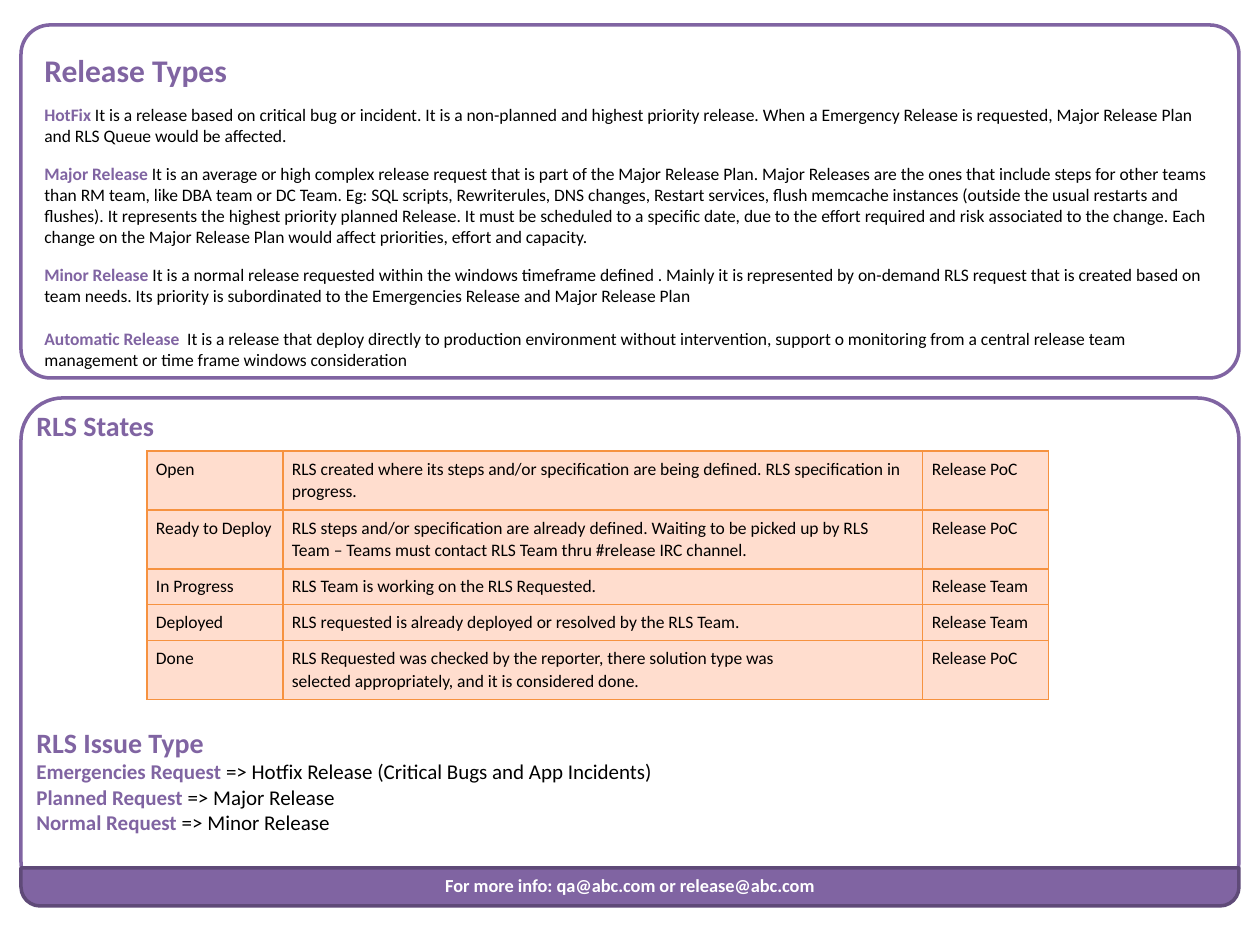
from lxml.etree import SubElement
from pptx import Presentation
from pptx.dml.color import RGBColor
from pptx.enum.shapes import MSO_SHAPE
from pptx.enum.text import MSO_ANCHOR, PP_ALIGN
from pptx.oxml.ns import qn
from pptx.util import Emu, Pt

PX = 914400 // 126
PURPLE, DARK, WHITE, BLACK = "8064A2", "5F4A78", "FFFFFF", "000000"
PEACH, ORANGE = "FFDDCE", "F69240"

RELEASES = [
    ("HotFix ", "It is a release based on critical bug or incident. It is a non-planned and highest "
     "priority release. When a Emergency Release is requested, Major Release Plan and RLS Queue "
     "would be affected.", 8.5),
    ("Major Release ", "It is an average or high complex release request that is part of the Major "
     "Release Plan. Major Releases are the ones that include steps for other teams than RM team, "
     "like DBA team or DC Team. Eg: SQL scripts, Rewriterules, DNS changes, Restart services, flush "
     "memcache instances (outside the usual restarts and flushes). It represents the highest "
     "priority planned Release. It must be scheduled to a specific date, due to the effort required "
     "and risk associated to the change. Each change on the Major Release Plan would affect "
     "priorities, effort and capacity.", 9.8),
    ("Minor Release ", "It is a normal release\u00a0requested within the windows timeframe defined . "
     "Mainly it is represented by on-demand RLS request that is created based on team needs. Its "
     "priority is subordinated to the Emergencies Release and Major Release Plan", 9.8),
    ("Automatic Release  ", "It is a release\u00a0that deploy directly to production environment "
     "without intervention, support o monitoring from a central release team management or time "
     "frame windows consideration", 12.2),
]
STATES = [
    ("Open", "RLS created where its steps and/or specification are being defined.\u00a0RLS "
     "specification in progress.", "Release PoC"),
    ("Ready to Deploy", "RLS steps and/or specification are already defined. Waiting to be picked up "
     "by RLS Team\u00a0\u2013 Teams must contact RLS Team thru #release IRC channel.", "Release PoC"),
    ("In Progress", "RLS Team is working\u00a0on the RLS Requested.", "Release Team"),
    ("Deployed", "RLS requested is\u00a0already deployed\u00a0or resolved by the RLS Team.",
     "Release Team"),
    ("Done", "RLS Requested was\u00a0checked by the reporter, there solution type\u00a0was "
     "selected\u00a0appropriately, and it is considered done.", "Release PoC"),
]
ISSUES = [
    ("Emergencies Request", " => Hotfix Release (Critical Bugs and App Incidents)"),
    ("Planned Request", " => Major Release"),
    ("Normal Request", " => Minor Release"),
]
COLUMNS = [136, 640, 126]
ROWS = [59, 59, 36, 36, 59]
PANELS = [(21, 398, 1218, 505), (21, 25, 1218, 353)]
FOOTER = (21, 868, 1218, 38)


def px(*values):
    return [Emu(v * PX) for v in values]


def rgb(value):
    return RGBColor.from_string(value)


def add_text(p, text, size=10, color=BLACK, bold=False):
    r = p.add_run()
    r.text = text
    r.font.name = "Calibri"
    r.font.size = Pt(size)
    r.font.bold = bold
    r.font.color.rgb = rgb(color)


def add_box(shapes, *box):
    tf = shapes.add_textbox(*px(*box)).text_frame
    tf.word_wrap = True
    return tf


def add_entry(tf, label, text, size, before=0):
    p = tf.add_paragraph()
    p.space_before = Pt(before)
    add_text(p, label, size, PURPLE, True)
    add_text(p, text, size)


def add_panel(shapes, kind, box, fill, line, adjustments):
    sp = shapes.add_shape(kind, *px(*box))
    sp.shadow.inherit = False
    sp.fill.solid()
    sp.fill.fore_color.rgb = rgb(fill)
    sp.line.color.rgb = rgb(line)
    sp.line.width = Pt(2)
    for i, value in enumerate(adjustments):
        sp.adjustments[i] = value
    return sp


def set_borders(cell, color, width):
    tc_pr = cell._tc.get_or_add_tcPr()
    for i, side in enumerate(("a:lnL", "a:lnR", "a:lnT", "a:lnB")):
        ln = SubElement(tc_pr, qn(side), w=str(Pt(width)))
        SubElement(SubElement(ln, qn("a:solidFill")), qn("a:srgbClr"), val=color)
        tc_pr.insert(i, ln)


prs = Presentation()
prs.slide_width, prs.slide_height = px(1260, 945)
s = prs.slides.add_slide(prs.slide_layouts[6]).shapes

for panel in PANELS:
    add_panel(s, MSO_SHAPE.ROUNDED_RECTANGLE, panel, WHITE, PURPLE, [0.083])

tf = add_box(s, 32, 45, 1197, 333)
add_text(tf.paragraphs[0], "Release Types", 18, PURPLE, True)
for label, text, before in RELEASES:
    add_entry(tf, label, text, 10, before)

tf = add_box(s, 24, 402, 1205, 467)
add_text(tf.paragraphs[0], "RLS States", 16, PURPLE, True)
p = tf.add_paragraph()
p.space_before = Pt(162)
add_text(p, "RLS Issue Type", 16, PURPLE, True)
for label, text in ISSUES:
    add_entry(tf, label, text, 12)

footer = add_panel(s, MSO_SHAPE.ROUND_2_SAME_RECTANGLE, FOOTER, PURPLE, DARK, [0.5, 0])
footer.rotation = 180
tf = add_box(s, 21, 868, 1218, 35)
tf.paragraphs[0].alignment = PP_ALIGN.CENTER
add_text(tf.paragraphs[0], "For more info: qa@abc.com or release@abc.com", 10.5, WHITE, True)

table = s.add_table(len(ROWS), len(COLUMNS), *px(147, 451, sum(COLUMNS), sum(ROWS))).table
table.first_row = table.horz_banding = False
for column, width in zip(table.columns, px(*COLUMNS)):
    column.width = width
for row, height, state in zip(table.rows, px(*ROWS), STATES):
    row.height = height
    for cell, text in zip(row.cells, state):
        cell.fill.solid()
        cell.fill.fore_color.rgb = rgb(PEACH)
        set_borders(cell, ORANGE, 0.75)
        cell.margin_left, cell.margin_right, cell.margin_top, cell.margin_bottom = px(9, 9, 6, 6)
        cell.vertical_anchor = MSO_ANCHOR.TOP
        p = cell.text_frame.paragraphs[0]
        p.line_spacing = Pt(13)
        add_text(p, text)

prs.save("out.pptx")
